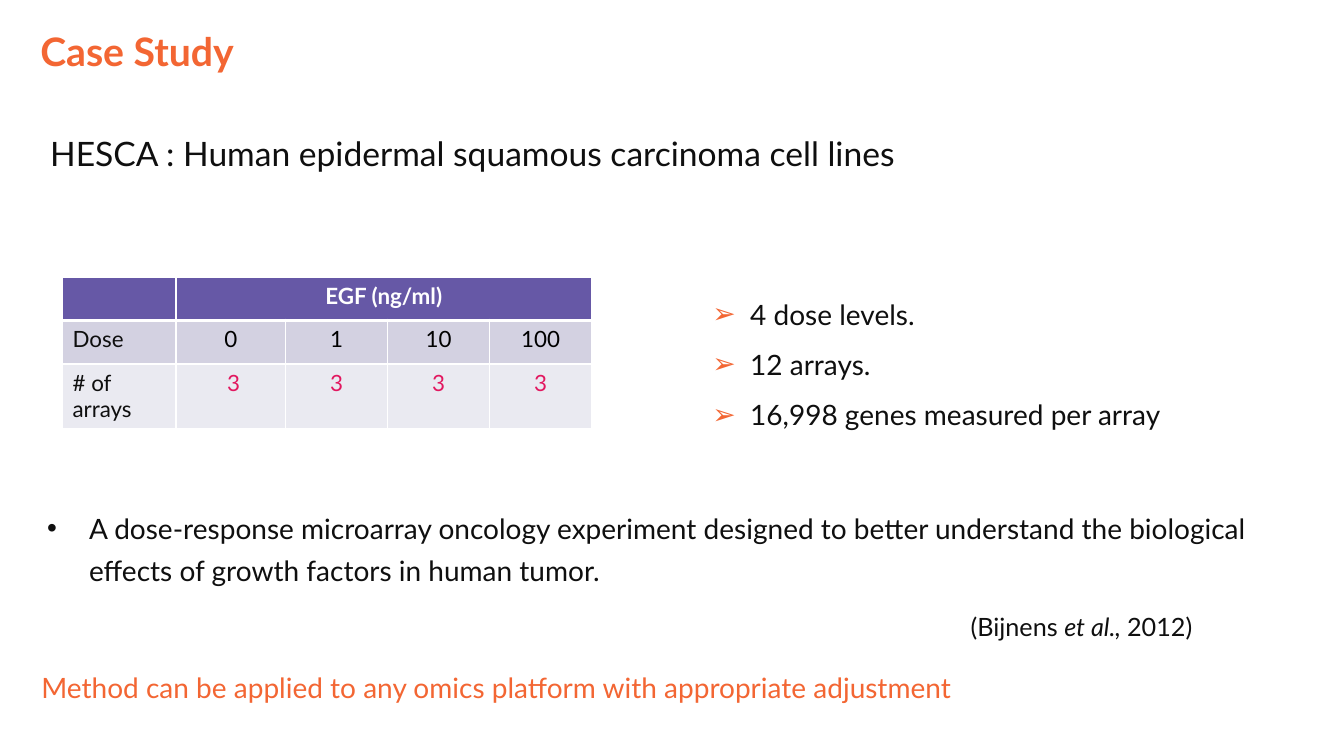
"""Build the case study slide on the HESCA dose-response experiment."""
from lxml.etree import SubElement
from pptx import Presentation
from pptx.dml.color import RGBColor
from pptx.enum.text import MSO_ANCHOR, PP_ALIGN
from pptx.oxml.ns import qn
from pptx.util import Pt

FONT = "Lato"
COLORS = {
    "accent": "F36633",
    "ink": "0F0F0F",
    "black": "000000",
    "white": "FFFFFF",
    "header": "6658A6",
    "dose_row": "D3D1E1",
    "array_row": "EAEAF1",
    "count": "E21860",
}


def style(paragraph, size, color, bold=False):
    """Set the font of a whole paragraph."""
    font = paragraph.font
    font.name, font.size, font.bold = FONT, Pt(size), bold
    font.color.rgb = RGBColor.from_string(COLORS[color])


def add_bullet(paragraph, symbol, indent, color):
    """Give a paragraph a hanging bullet."""
    properties = paragraph._p.get_or_add_pPr()
    properties.set("marL", str(Pt(indent)))
    properties.set("indent", str(-Pt(indent)))
    bullet_color = SubElement(properties, qn("a:buClr"))
    SubElement(bullet_color, qn("a:srgbClr"), val=COLORS[color])
    SubElement(properties, qn("a:buFont"), typeface="Arial")
    SubElement(properties, qn("a:buChar"), char=symbol)


def add_frame(slide, box, inset=None, wrap=True):
    """Add a text box and return its text frame."""
    frame = slide.shapes.add_textbox(*map(Pt, box)).text_frame
    frame.word_wrap = wrap
    if inset is not None:
        frame.margin_left = frame.margin_right = Pt(inset)
        frame.margin_top = frame.margin_bottom = Pt(inset)
    return frame


def add_line(slide, box, text, size, color, bold=False, inset=None):
    """Add a text box holding one plain paragraph and return its frame."""
    frame = add_frame(slide, box, inset)
    frame.text = text
    style(frame.paragraphs[0], size, color, bold)
    return frame


def add_bullets(slide, box, items, symbol, indent, color, spacing):
    """Add a bulleted list."""
    frame = add_frame(slide, box)
    for index, item in enumerate(items):
        paragraph = frame.paragraphs[0] if index == 0 else frame.add_paragraph()
        paragraph.text = item
        paragraph.line_spacing = spacing
        add_bullet(paragraph, symbol, indent, color)
        style(paragraph, 20, "ink")


def add_citation(slide, box):
    """Add the reference with its italic part."""
    paragraph = add_frame(slide, box, wrap=False).paragraphs[0]
    for text, italic in (("(Bijnens ", False), ("et al., ", True), ("2012)", False)):
        run = paragraph.add_run()
        run.text = text
        run.font.italic = italic
    style(paragraph, 18, "ink")


def format_cell(cell, fill, bottom_width):
    """Draw white borders around a cell and fill it."""
    properties = cell._tc.get_or_add_tcPr()
    for side, width in (("L", 1), ("R", 1), ("T", 1), ("B", bottom_width)):
        line = SubElement(properties, qn(f"a:ln{side}"), w=str(Pt(width)))
        line_fill = SubElement(line, qn("a:solidFill"))
        SubElement(line_fill, qn("a:srgbClr"), val=COLORS["white"])
    cell.fill.solid()
    cell.fill.fore_color.rgb = RGBColor.from_string(COLORS[fill])


def add_dose_table(slide, box):
    """Add the table of arrays per dose."""
    rows = (
        (("", "EGF (ng/ml)", "", "", ""), "header", "white", 31),
        (("Dose", "0", "1", "10", "100"), "dose_row", "black", 31),
        (("# of arrays", " 3", "3", "3", "3"), "array_row", "count", 46),
    )
    label_width, first_width = 81, 78.3
    dose_width = (box[2] - label_width - first_width) / 3
    table = slide.shapes.add_table(len(rows), 5, *map(Pt, box)).table
    for column, width in zip(table.columns, (label_width, first_width, *[dose_width] * 3)):
        column.width = Pt(width)
    for row_index, (texts, fill, value_color, height) in enumerate(rows):
        table.rows[row_index].height = Pt(height)
        is_header = row_index == 0
        for column_index, text in enumerate(texts):
            cell = table.cell(row_index, column_index)
            format_cell(cell, fill, 3 if is_header else 1)
            cell.text = text
            paragraph = cell.text_frame.paragraphs[0]
            if column_index:
                paragraph.alignment = PP_ALIGN.CENTER
            style(paragraph, 16, value_color if column_index else "ink", is_header)
    table.cell(0, 1).merge(table.cell(0, 4))


def build_case_study(slide, box):
    """Place all parts of the case study within the slide box."""
    left, top, width, _ = box
    title = add_line(slide, (left + 28.8, top + 19.4, width - 57.6, 33.8),
                     "Case Study", 28, "accent", bold=True, inset=0)
    title.vertical_anchor = MSO_ANCHOR.MIDDLE
    add_dose_table(slide, (left + 44.7, top + 198, 378, 108))
    add_line(slide, (left + 28.8, top + 91.4, 770, 36),
             "HESCA : Human epidermal squamous carcinoma cell lines", 24, "ink")
    add_bullets(slide, (left + 501.8, top + 196.6, 429, 111.6),
                ("4 dose levels.", "12 arrays.", "16,998 genes measured per array"),
                "➢", 27, "accent", 1.5)
    add_bullets(slide, (left + 26.6, top + 355.7, 905, 64.8),
                ("A dose-response microarray oncology experiment designed to better "
                 "understand the biological effects of growth factors in human tumor.",),
                "•", 30, "ink", 1.25)
    add_citation(slide, (left + 686.2, top + 433.4, 176.4, 28.8))
    method = add_line(slide, (left + 26.6, top + 475.9, 713.5, 52.6),
                      "Method can be applied to any omics platform with appropriate adjustment",
                      20, "accent", inset=2.9)
    method.paragraphs[0].space_after = Pt(3)


def main():
    """Create the presentation and save it."""
    presentation = Presentation()
    presentation.slide_width, presentation.slide_height = Pt(960), Pt(540)
    slide = presentation.slides.add_slide(presentation.slide_layouts[6])
    build_case_study(slide, (0, 0, 960, 540))
    presentation.save("out.pptx")


if __name__ == "__main__":
    main()
